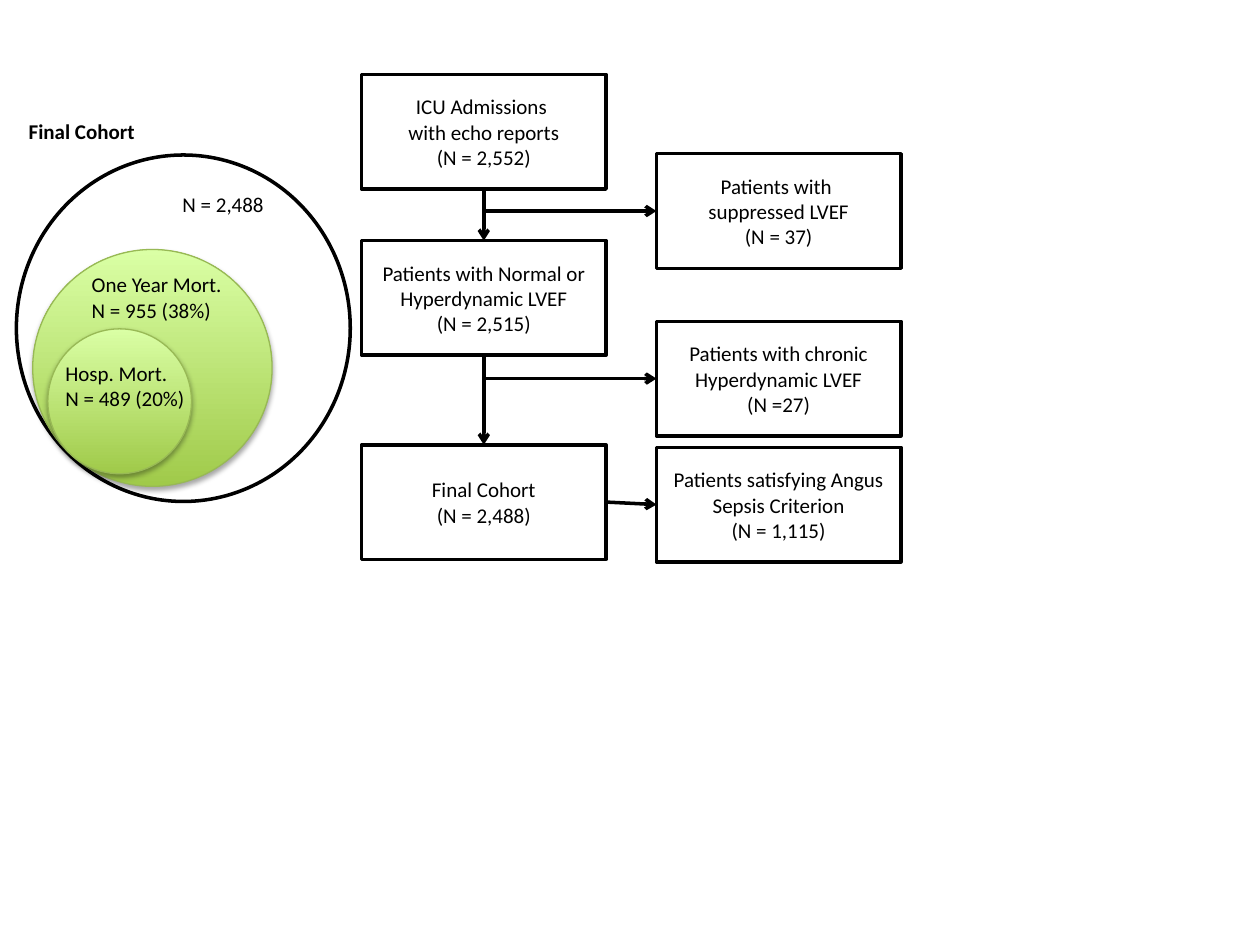
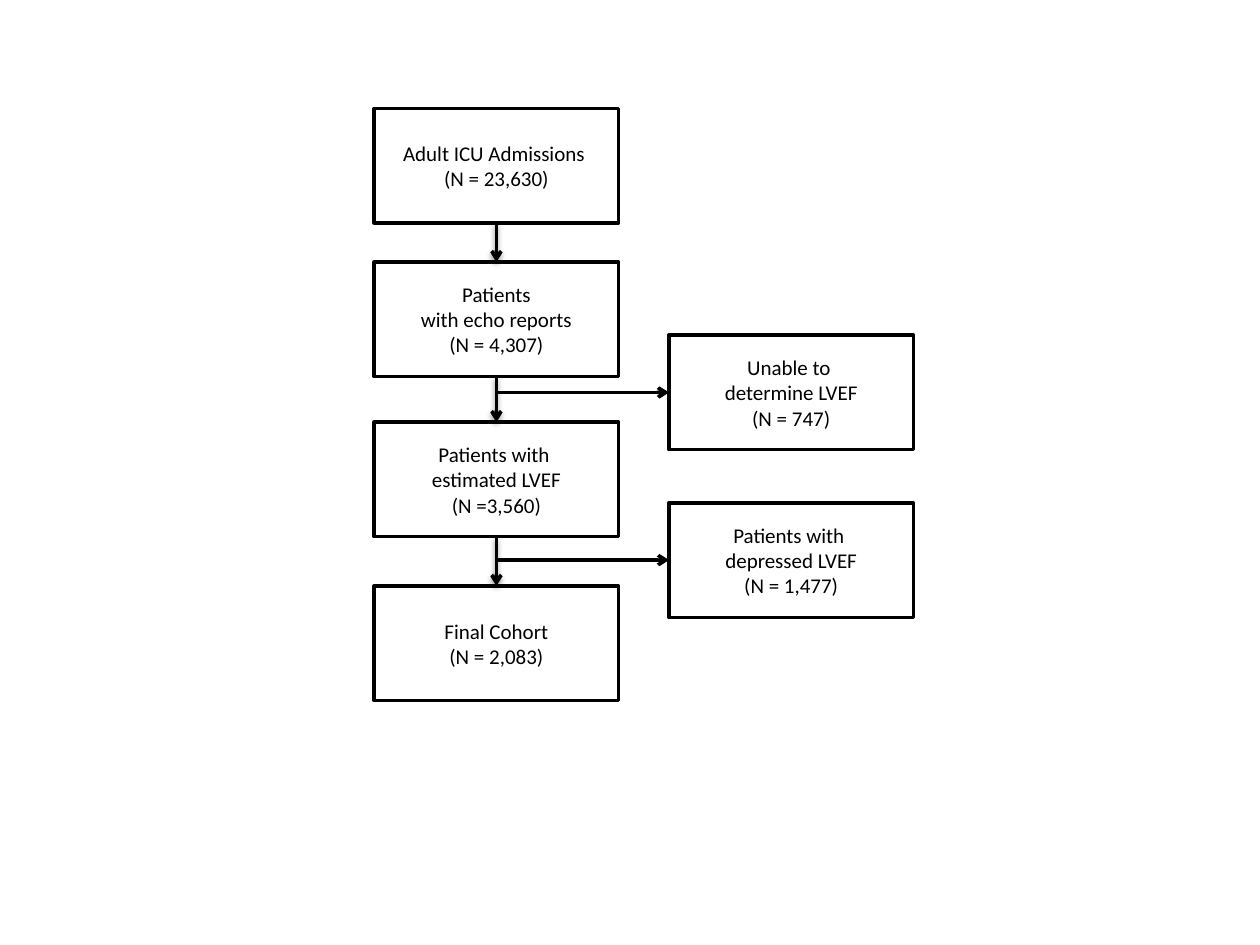
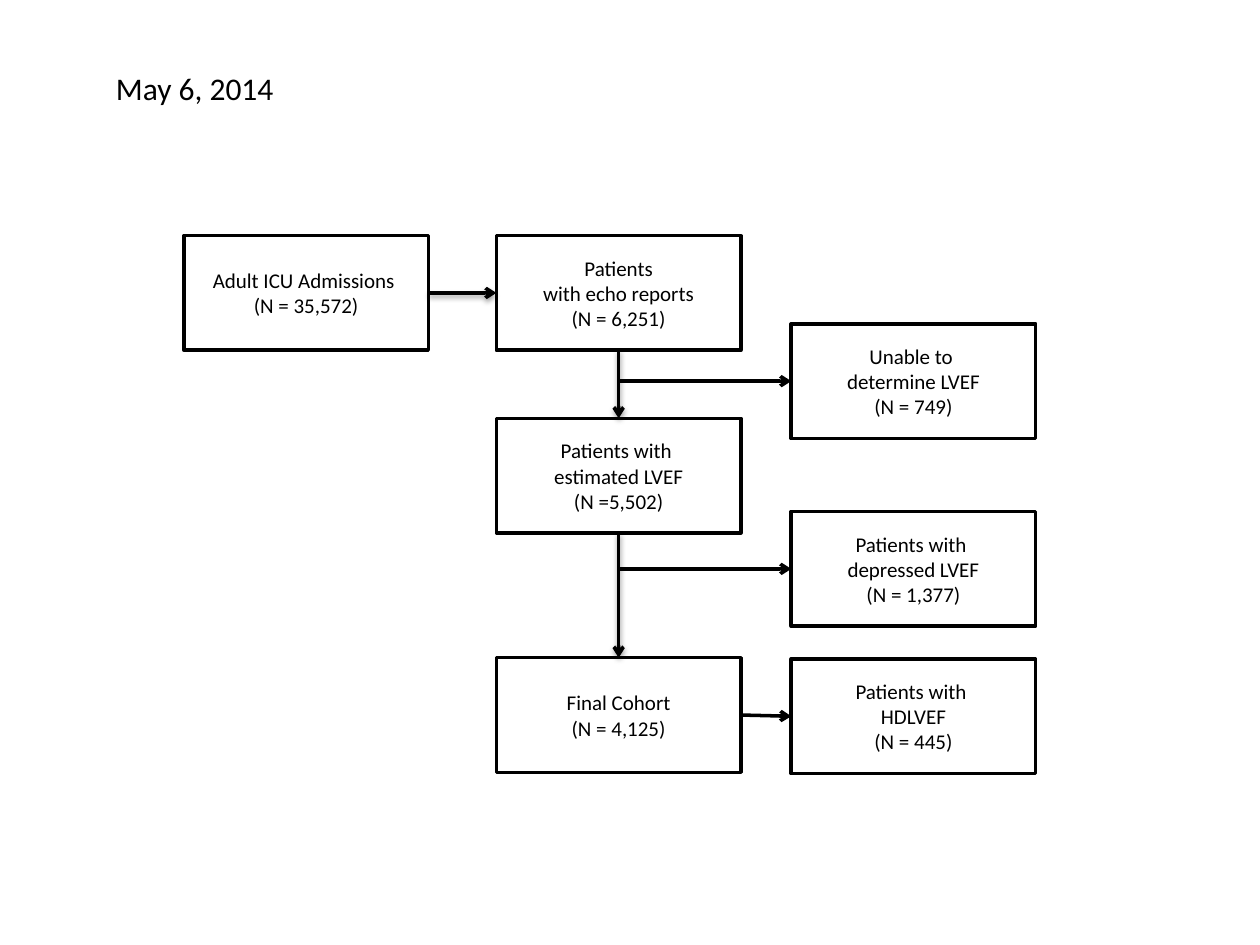
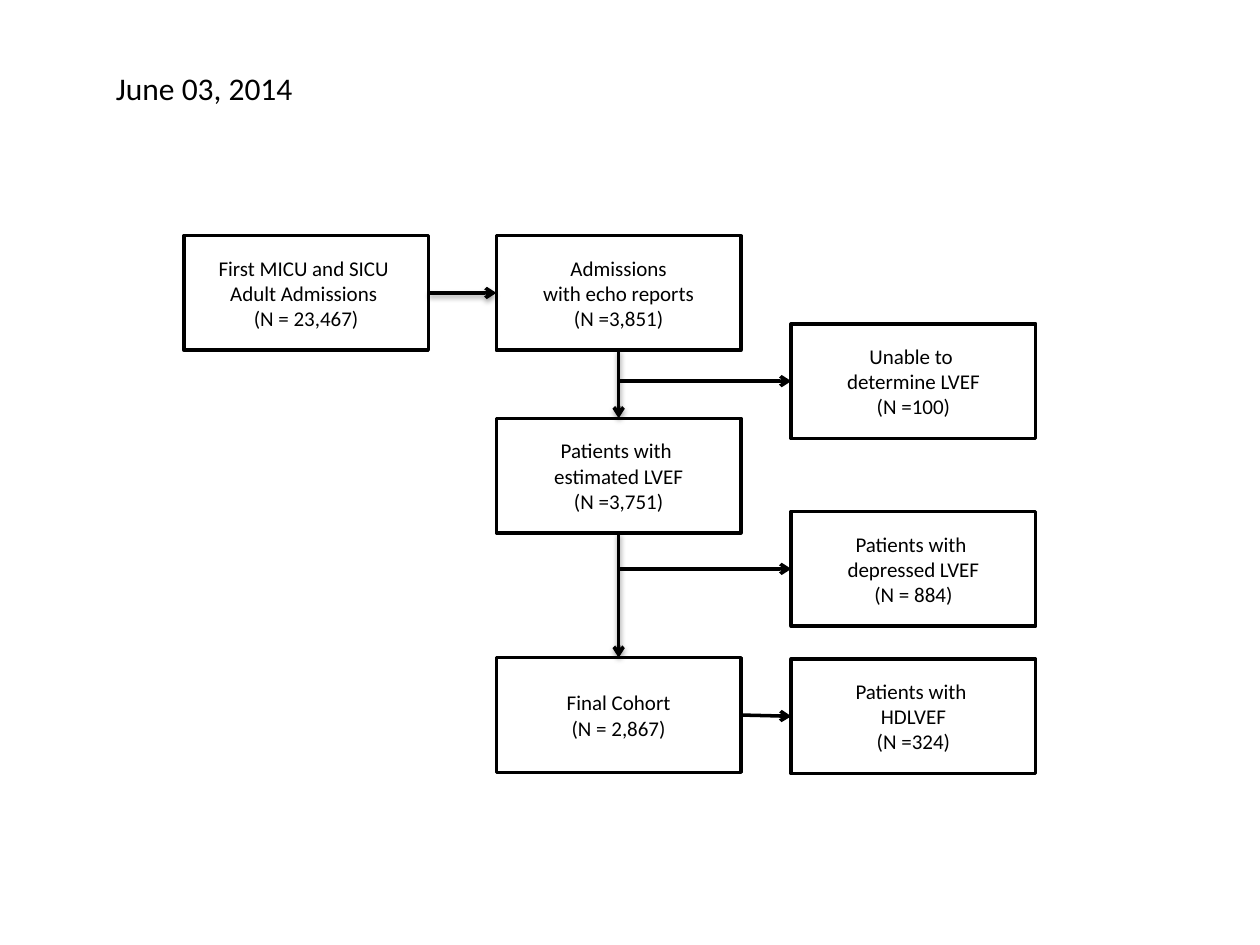
from dataclasses import dataclass
from lxml.etree import SubElement
from pptx import Presentation
from pptx.dml.color import RGBColor as RGB
from pptx.enum.shapes import MSO_CONNECTOR as CONN, MSO_SHAPE as SHAPE
from pptx.enum.text import MSO_ANCHOR as ANCHOR, MSO_AUTO_SIZE as FIT, PP_ALIGN as ALIGN
from pptx.oxml.ns import qn
from pptx.util import Inches, Pt


@dataclass(frozen=True)
class Theme:
    font: str = "Calibri"
    ink: str = "000000"
    green_line: str = "98B955"
    greens: tuple = ("A0CA4A", "DAFFA5")
    body: int = 12
    title: int = 18
    stroke: float = 2
    thin: float = 0.75
    disc_shadow: tuple = (3.1, 1.8, 35)
    arrow_shadow: tuple = (3.1, 1.6, 38)


@dataclass(frozen=True)
class Grid:
    cols: int = 100
    rows: int = 75
    node: tuple = (19.4, 9.1)
    entry: float = -24.8
    main: float = 0
    side: float = 23.4


T, G = Theme(), Grid()
SLIDE_W, SLIDE_H = Inches(10), Inches(7.5)
TITLE_ONLY, BLANK = 5, 6
LEAD_SITES = {True: (2, 0), False: (3, 1)}


def put(obj, **values):
    for key, value in values.items():
        setattr(obj, key, value)


def cells(x, y, *size):
    return [int(v * (SLIDE_H / G.rows if i % 2 else SLIDE_W / G.cols))
            for i, v in enumerate((x, y, *size))]


def inside(area, x, y, *size):
    return cells(area[0] + x, area[1] + y, *size)


def write(tf, lines, size=T.body, align=ALIGN.LEFT, bold=False, **frame):
    put(tf, **{"word_wrap": True, **frame})
    for i, line in enumerate(lines):
        p = tf.paragraphs[0] if i == 0 else tf.add_paragraph()
        p.alignment = align
        r = p.add_run()
        r.text = line
        put(r.font, name=T.font, size=Pt(size), bold=bold)
        r.font.color.rgb = RGB.from_string(T.ink)


def stroke(sp, color=T.ink, width=T.stroke):
    sp.line.color.rgb = RGB.from_string(color)
    sp.line.width = Pt(width)


def effects(sp, shadow=None):
    lst = SubElement(sp._element.spPr, qn("a:effectLst"))
    if shadow:
        blur, dist, alpha = shadow
        sh = SubElement(lst, qn("a:outerShdw"), blurRad=str(Pt(blur)), dist=str(Pt(dist)),
                        dir="5400000", rotWithShape="0")
        clr = SubElement(sh, qn("a:srgbClr"), val=T.ink)
        SubElement(clr, qn("a:alpha"), val=str(alpha * 1000))


def outline(sl, kind, box):
    sp = sl.shapes.add_shape(kind, *box)
    sp.fill.background()
    stroke(sp)
    effects(sp)
    return sp


def disc(sl, box):
    sp = sl.shapes.add_shape(SHAPE.OVAL, *box)
    sp.fill.gradient()
    sp.fill.gradient_angle = 90
    for stop, color in zip(sp.fill.gradient_stops, T.greens):
        stop.color.rgb = RGB.from_string(color)
    stroke(sp, T.green_line, T.thin)
    effects(sp, T.disc_shadow)


def label(sl, box, lines, **fmt):
    tf = sl.shapes.add_textbox(*box).text_frame
    write(tf, lines, auto_size=FIT.SHAPE_TO_FIT_TEXT, **fmt)


def node(sl, area, col, row, lines):
    sp = outline(sl, SHAPE.RECTANGLE, inside(area, col, row, *G.node))
    write(sp.text_frame, lines, align=ALIGN.CENTER, vertical_anchor=ANCHOR.MIDDLE)
    return sp


def arrow(sl, start, end, sites, shadow=None):
    cx = sl.shapes.add_connector(CONN.STRAIGHT, start.left + start.width // 2,
                                 end.top + end.height // 2, end.left, end.top)
    if sites[0] is not None:
        cx.begin_connect(start, sites[0])
    cx.end_connect(end, sites[1])
    stroke(cx)
    SubElement(cx.line._get_or_add_ln(), qn("a:tailEnd"), type="arrow")
    effects(cx, shadow)


def flow(sl, area, stages, exits, shadow=None):
    spine = [node(sl, area, *stage) for stage in stages]
    for a, b in zip(spine, spine[1:]):
        arrow(sl, a, b, LEAD_SITES[a.left == b.left], shadow)
    for i, row, lines in exits:
        last = i == len(spine) - 1
        arrow(sl, spine[i], node(sl, area, G.side, row, lines), (3 if last else None, 1))


def venn(sl, area):
    outline(sl, SHAPE.OVAL, inside(area, 0, 3.4, 26.5, 27.5))
    label(sl, inside(area, 12.2, 5.8, 8.6, 3), ["N = 2,488"])
    disc(sl, inside(area, 1.3, 10.9, 19, 18.8))
    label(sl, inside(area, 5, 12.2, 13.4, 5), ["One Year Mort.", "N = 955 (38%)"])
    disc(sl, inside(area, 2.5, 17.2, 11.4, 11.5))
    label(sl, inside(area, 2.9, 19.2, 12.8, 5), ["Hosp. Mort.", "N = 489 (20%)"])
    label(sl, inside(area, 0, 0, 10.4, 3), ["Final Cohort"], bold=True)


def title(sl, box, text):
    sp = sl.shapes.title
    put(sp, **dict(zip(("left", "top", "width", "height"), box)))
    write(sp.text_frame, [text], size=T.title, word_wrap=False,
          auto_size=FIT.SHAPE_TO_FIT_TEXT, vertical_anchor=ANCHOR.TOP)


def new_slide(prs, layout):
    return prs.slides.add_slide(prs.slide_layouts[layout])


def mortality_slide(prs):
    sl = new_slide(prs, BLANK)
    flow(sl, (28.7, 5.9), [
        (G.main, 0, ["ICU Admissions ", "with echo reports", "(N = 2,552)"]),
        (G.main, 13.2, ["Patients with Normal or Hyperdynamic LVEF", "(N = 2,515)"]),
        (G.main, 29.4, ["Final Cohort", "(N = 2,488)"]),
    ], [
        (0, 6.3, ["Patients with ", "suppressed LVEF", "(N = 37)"]),
        (1, 19.6, ["Patients with chronic Hyperdynamic LVEF", "(N =27)"]),
        (2, 29.6, ["Patients satisfying Angus Sepsis Criterion", "(N = 1,115)"]),
    ])
    venn(sl, (1.3, 8.9))


def column_slide(prs):
    flow(new_slide(prs, BLANK), (29.7, 8.6), [
        (G.main, 0, ["Adult ICU Admissions ", "(N = 23,630)"]),
        (G.main, 12.2, ["Patients", "with echo reports", "(N = 4,307)"]),
        (G.main, 24.9, ["Patients with ", "estimated LVEF", "(N =3,560)"]),
        (G.main, 37.9, ["Final Cohort", "(N = 2,083)"]),
    ], [
        (1, 18, ["Unable to ", "determine LVEF", "(N = 747)"]),
        (2, 31.3, ["Patients with ", "depressed LVEF", "(N = 1,477)"]),
    ], T.arrow_shadow)


def dated_slide(prs, date, width, source, subject, counts):
    echo, estimated, final, unable, depressed, hyper = (f"(N ={n})" for n in counts)
    sl = new_slide(prs, TITLE_ONLY)
    title(sl, cells(8.2, 5, width, 4), date)
    flow(sl, (39.4, 18.7), [
        (G.entry, 0, source),
        (G.main, 0, [subject, "with echo reports", echo]),
        (G.main, 14.5, ["Patients with ", "estimated LVEF", estimated]),
        (G.main, 33.5, ["Final Cohort", final]),
    ], [
        (1, 7, ["Unable to ", "determine LVEF", unable]),
        (2, 21.9, ["Patients with ", "depressed LVEF", depressed]),
        (3, 33.6, ["Patients with ", "HDLVEF", hyper]),
    ], T.arrow_shadow)


prs = Presentation()
put(prs, slide_width=SLIDE_W, slide_height=SLIDE_H)
mortality_slide(prs)
column_slide(prs)
dated_slide(prs, "May 6, 2014", 14.7, ["Adult ICU Admissions ", "(N = 35,572)"], "Patients",
            (" 6,251", "5,502", " 4,125", " 749", " 1,377", " 445"))
dated_slide(prs, "June 03, 2014", 16.2,
            ["First MICU and SICU ", "Adult Admissions ", "(N = 23,467)"], "Admissions",
            ("3,851", "3,751", " 2,867", "100", " 884", "324"))
prs.save("out.pptx")
